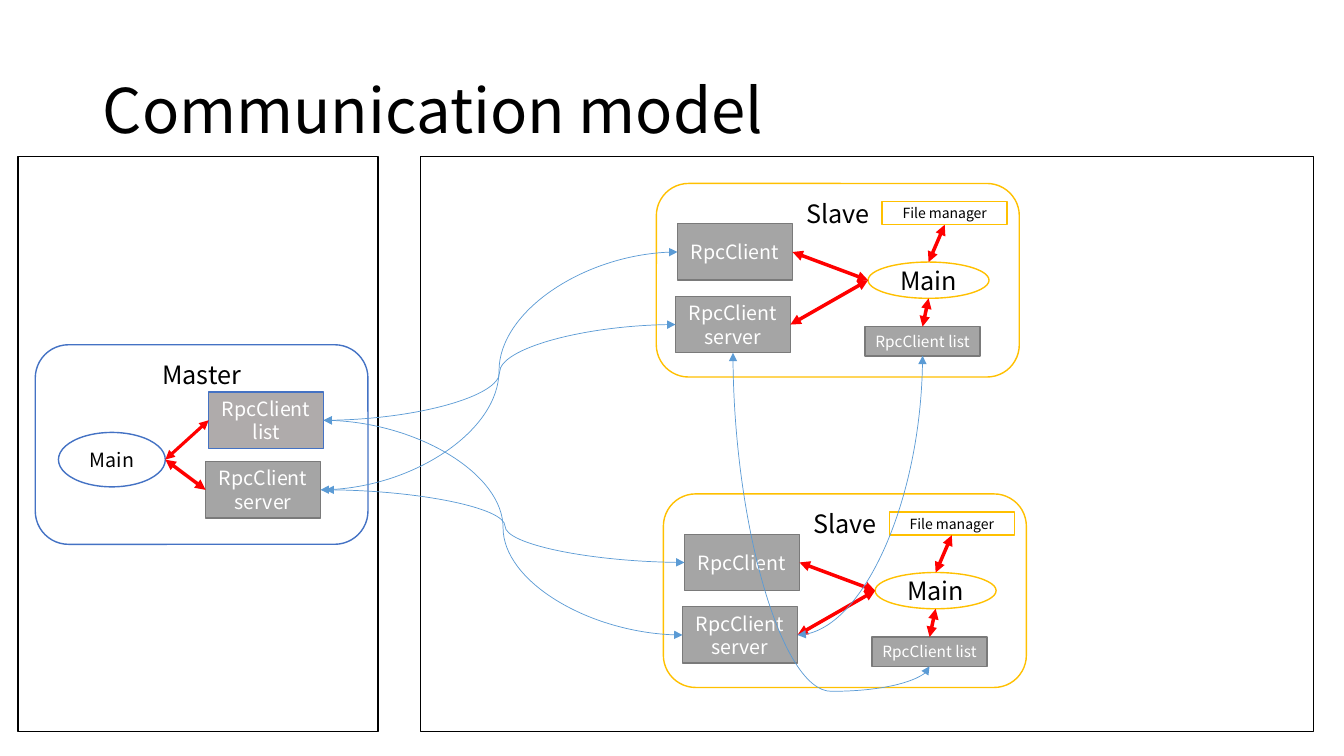
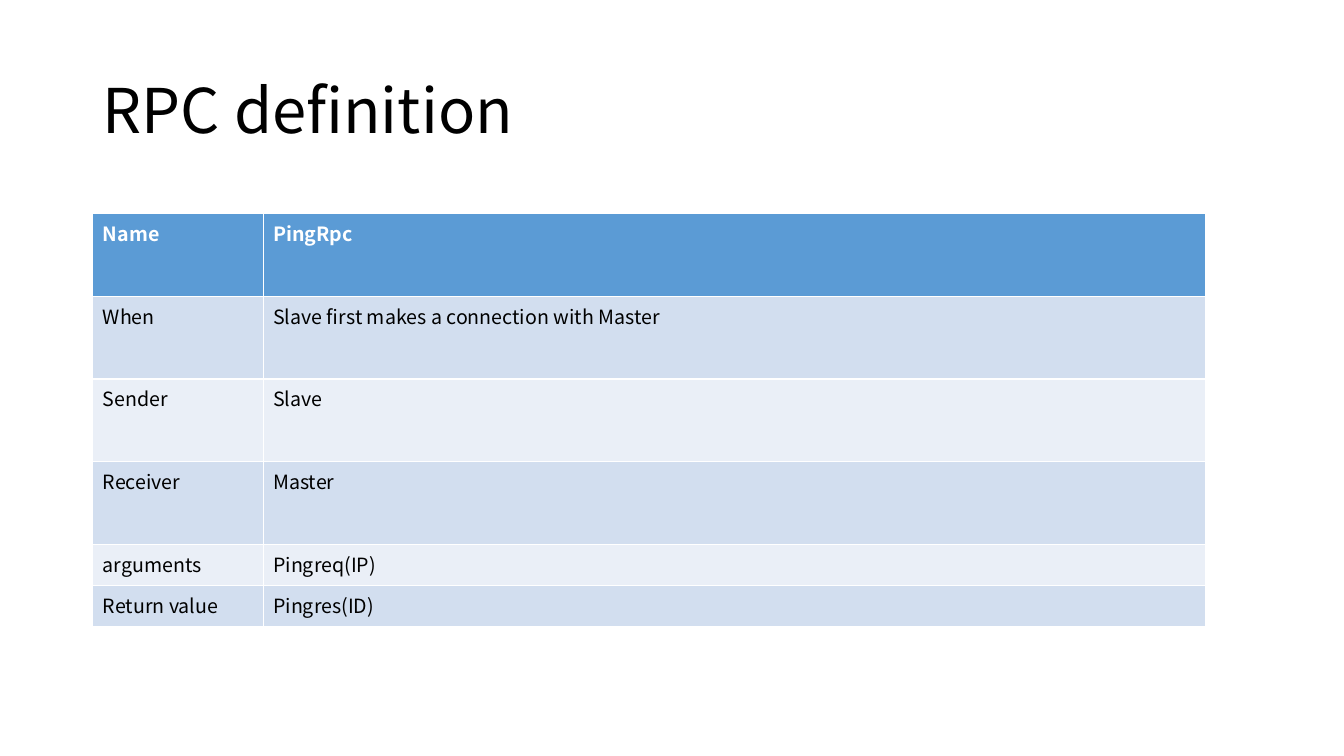
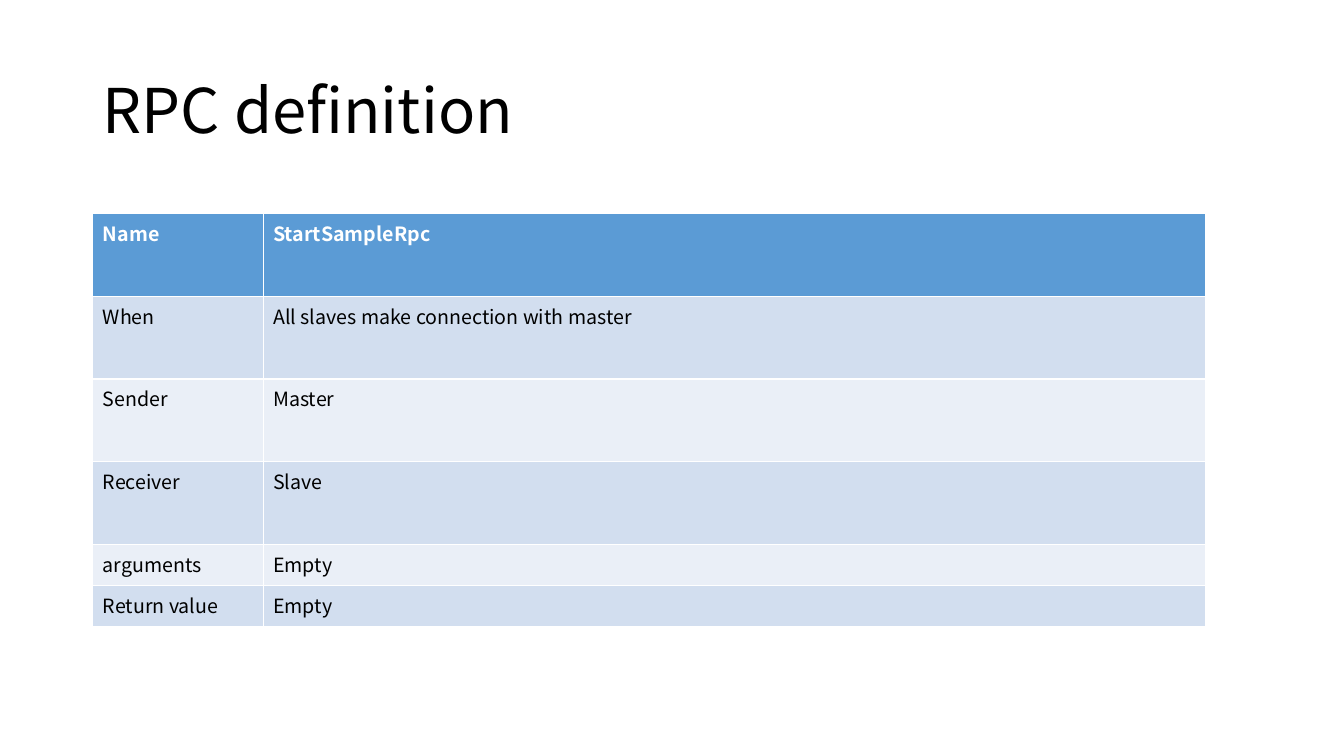
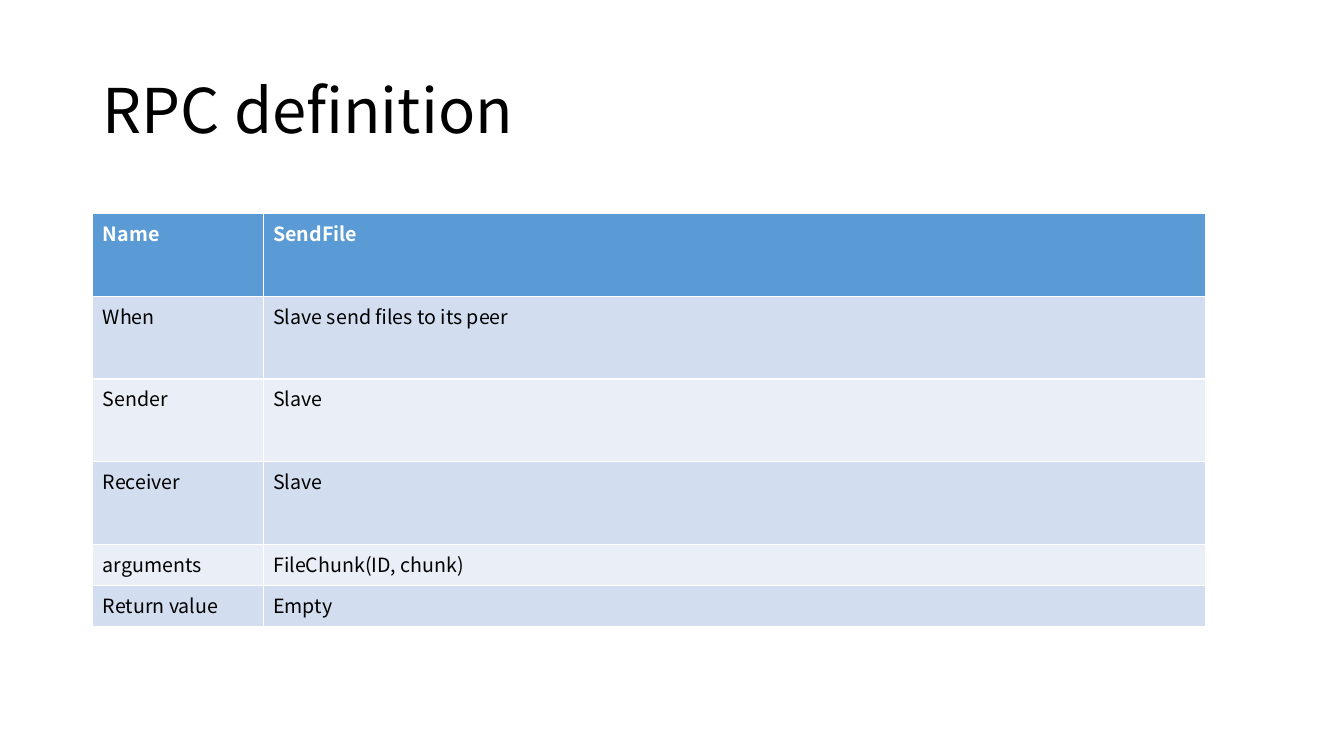
import collections
import dataclasses

import lxml.etree
import pptx
import pptx.dml.color
import pptx.enum.shapes
import pptx.enum.text
import pptx.oxml.ns
import pptx.util

EMU_PER_PX = 9144
SHAPE = pptx.enum.shapes.MSO_SHAPE
CONNECTOR = pptx.enum.shapes.MSO_CONNECTOR
ALIGN = pptx.enum.text.PP_ALIGN
ANCHOR = pptx.enum.text.MSO_ANCHOR
TOP, LEFT, BOTTOM, RIGHT = range(4)


@dataclasses.dataclass(frozen=True)
class Theme:
    font: str = "Noto Sans CJK KR"
    white: str = "FFFFFF"
    black: str = "000000"
    master: str = "4472C4"
    slave: str = "FFC000"
    rpc: str = "A5A5A5"
    rpc_edge: str = "7A7A7A"
    master_list: str = "AFABAB"
    local_link: str = "FF0000"
    remote_link: str = "5B9BD5"
    header: str = "5B9BD5"
    bands: tuple = ("D2DEEF", "EAEFF7")
    title_size: int = 44
    heading_size: int = 18
    body_size: int = 14
    list_size: int = 11
    small_size: int = 10
    outline: float = 1
    local_width: float = 2.5
    remote_width: float = 0.5


THEME = Theme()
Master = collections.namedtuple("Master", "clients server")
Slave = collections.namedtuple("Slave", "client server clients")


def px(length):
    return pptx.util.Emu(length * EMU_PER_PX)


def rgb(color):
    return pptx.dml.color.RGBColor.from_string(color)


def write(frame, text, size, color, align=ALIGN.LEFT, bold=False):
    frame.text = text
    paragraph = frame.paragraphs[0]
    paragraph.alignment = align
    font = paragraph.font
    font.name, font.size, font.bold = THEME.font, pptx.util.Pt(size), bold
    font.color.rgb = rgb(color)


def titled_slide(deck, heading):
    slide = deck.slides.add_slide(deck.slide_layouts[5])
    title = slide.shapes.title
    title.left, title.top, title.width, title.height = map(px, (92, 40, 1150, 145))
    frame = title.text_frame
    write(frame, heading, THEME.title_size, THEME.black)
    frame.vertical_anchor = ANCHOR.MIDDLE
    frame.paragraphs[0].line_spacing = 0.9
    return slide


def node(slide, kind, box, edge, fill=None, text="", size=THEME.body_size,
         color=THEME.black, anchor=ANCHOR.MIDDLE):
    shape = slide.shapes.add_shape(kind, *map(px, box))
    shape.shadow.inherit = False
    if fill:
        shape.fill.solid()
        shape.fill.fore_color.rgb = rgb(fill)
    else:
        shape.fill.background()
    shape.line.color.rgb = rgb(edge)
    shape.line.width = pptx.util.Pt(THEME.outline)
    if text:
        shape.text_frame.word_wrap = True
        shape.text_frame.vertical_anchor = anchor
        write(shape.text_frame, text, size, color, ALIGN.CENTER)
    return shape


def rpc_node(slide, box, text, size=THEME.body_size, fill=THEME.rpc, edge=THEME.rpc_edge):
    return node(slide, SHAPE.RECTANGLE, box, edge, fill, text, size, THEME.white)


def side(shape, site):
    """Middle of one side of a shape, in EMU."""
    across, down = {TOP: (1, 0), LEFT: (0, 1), BOTTOM: (1, 2), RIGHT: (2, 1)}[site]
    return (shape.left + shape.width * across // 2,
            shape.top + shape.height * down // 2)


def two_way(slide, kind, start, end, color, width):
    """Connector with an arrowhead at both ends."""
    link = slide.shapes.add_connector(kind, *start, *end)
    link.line.color.rgb = rgb(color)
    link.line.width = pptx.util.Pt(width)
    properties = link._element.spPr
    for tag in ("a:headEnd", "a:tailEnd"):
        tip = lxml.etree.SubElement(link.line._get_or_add_ln(), pptx.oxml.ns.qn(tag))
        tip.set("type", "triangle")
    lxml.etree.SubElement(properties, pptx.oxml.ns.qn("a:effectLst"))
    return link


def local_link(slide, first, first_site, second, second_site, width=THEME.local_width):
    link = two_way(slide, CONNECTOR.STRAIGHT, side(first, first_site),
                   side(second, second_site), THEME.local_link, width)
    if first.auto_shape_type == SHAPE.RECTANGLE:
        link.begin_connect(first, first_site)
    if second.auto_shape_type == SHAPE.RECTANGLE:
        link.end_connect(second, second_site)


def remote_link(slide, start, end):
    return two_way(slide, CONNECTOR.CURVE, start, end,
                   THEME.remote_link, THEME.remote_width)


def downward_link(slide, start, end, preset, bend=None):
    """Curve that leaves its start downwards and ends further left."""
    center_x, center_y = (start[0] + end[0]) // 2, (start[1] + end[1]) // 2
    half_run, half_rise = (end[1] - start[1]) // 2, (start[0] - end[0]) // 2
    link = remote_link(slide, (center_x - half_run, center_y - half_rise),
                       (center_x + half_run, center_y + half_rise))
    properties = link._element.spPr
    properties.find(pptx.oxml.ns.qn("a:xfrm")).set("rot", str(90 * 60000))
    geometry = properties.find(pptx.oxml.ns.qn("a:prstGeom"))
    geometry.set("prst", preset)
    if bend is not None:
        adjustments = geometry.find(pptx.oxml.ns.qn("a:avLst"))
        guide = lxml.etree.SubElement(adjustments, pptx.oxml.ns.qn("a:gd"))
        guide.set("name", "adj1")
        guide.set("fmla", f"val {bend}")


def master_region(slide, left, top):
    def within(x, y, width, height):
        return left + x, top + y, width, height

    node(slide, SHAPE.ROUNDED_RECTANGLE, within(0, 0, 330, 198), THEME.master, THEME.white,
         "Master", THEME.heading_size, anchor=ANCHOR.TOP)
    main_loop = node(slide, SHAPE.OVAL, within(23, 87, 106, 54), THEME.master,
                     THEME.white, "Main")
    clients = rpc_node(slide, within(172, 47, 114, 56), "RpcClient list",
                       fill=THEME.master_list, edge=THEME.master)
    server = rpc_node(slide, within(169, 116, 114, 56), "RpcClient server")
    local_link(slide, main_loop, RIGHT, clients, LEFT, 2.25)
    local_link(slide, main_loop, RIGHT, server, LEFT)
    return Master(clients, server)


def slave_region(slide, left, top):
    def within(x, y, width, height):
        return left + x, top + y, width, height

    node(slide, SHAPE.ROUNDED_RECTANGLE, within(0, 0, 360, 192), THEME.slave, THEME.white,
         "Slave", THEME.heading_size, anchor=ANCHOR.TOP)
    main_loop = node(slide, SHAPE.OVAL, within(210, 78, 120, 36), THEME.slave,
                     THEME.white, "Main", THEME.heading_size)
    files = node(slide, SHAPE.RECTANGLE, within(224, 18, 124, 23), THEME.slave,
                 THEME.white, "File manager", THEME.small_size)
    client = rpc_node(slide, within(21, 40, 114, 56), "RpcClient")
    server = rpc_node(slide, within(19, 112, 114, 56), "RpcClient server")
    clients = rpc_node(slide, within(207, 142, 114, 29), "RpcClient list", THEME.list_size)
    for main_site, part, part_site in ((TOP, files, BOTTOM), (LEFT, client, RIGHT),
                                       (LEFT, server, RIGHT), (BOTTOM, clients, TOP)):
        local_link(slide, main_loop, main_site, part, part_site)
    return Slave(client, server, clients)


def communication_slide(deck):
    slide = titled_slide(deck, "Communication model")
    for left, width in ((417, 886), (18, 357)):
        node(slide, SHAPE.RECTANGLE, (left, 155, width, 571), THEME.black)
    master = master_region(slide, 35, 342)
    upper = slave_region(slide, 651, 182)
    lower = slave_region(slide, 658, 490)

    server_x, server_y = side(master.server, RIGHT)
    remote_link(slide, side(upper.client, LEFT), (server_x, server_y))
    remote_link(slide, side(lower.client, LEFT), (server_x + px(5), server_y))
    for slave in (lower, upper):
        remote_link(slide, side(master.clients, RIGHT), side(slave.server, LEFT))
    downward_link(slide, side(upper.clients, BOTTOM), side(lower.server, RIGHT),
                  "curvedConnector2")
    downward_link(slide, side(lower.clients, BOTTOM), side(upper.server, BOTTOM),
                  "curvedConnector3", -8000)


def definition_table(slide, box, values):
    labels = ("Name", "When", "Sender", "Receiver", "arguments", "Return value")
    table = slide.shapes.add_table(len(labels), 2, *map(px, box)).table
    label_width = 169
    table.columns[0].width = px(label_width)
    table.columns[1].width = px(box[2] - label_width)
    for row, texts in enumerate(zip(labels, values)):
        table.rows[row].height = px(82 if row < 4 else 41)
        header = row == 0
        for column, text in enumerate(texts):
            cell = table.cell(row, column)
            cell.fill.solid()
            cell.fill.fore_color.rgb = rgb(THEME.header if header
                                           else THEME.bands[(row - 1) % 2])
            write(cell.text_frame, text, THEME.body_size,
                  THEME.white if header else THEME.black, bold=header)


def definition_slide(deck, values):
    slide = titled_slide(deck, "RPC definition")
    definition_table(slide, (92, 212, 1104, 410), values)


def main():
    deck = pptx.Presentation()
    deck.slide_width, deck.slide_height = px(1333), px(750)
    communication_slide(deck)
    for values in (
        ("PingRpc", "Slave first makes a connection with Master", "Slave", "Master",
         "Pingreq(IP)", "Pingres(ID)"),
        ("StartSampleRpc", "All slaves make connection with master", "Master", "Slave",
         "Empty", "Empty"),
        ("SendFile", "Slave send files to its peer", "Slave", "Slave",
         "FileChunk(ID, chunk)", "Empty"),
    ):
        definition_slide(deck, values)
    deck.save("out.pptx")


if __name__ == "__main__":
    main()
